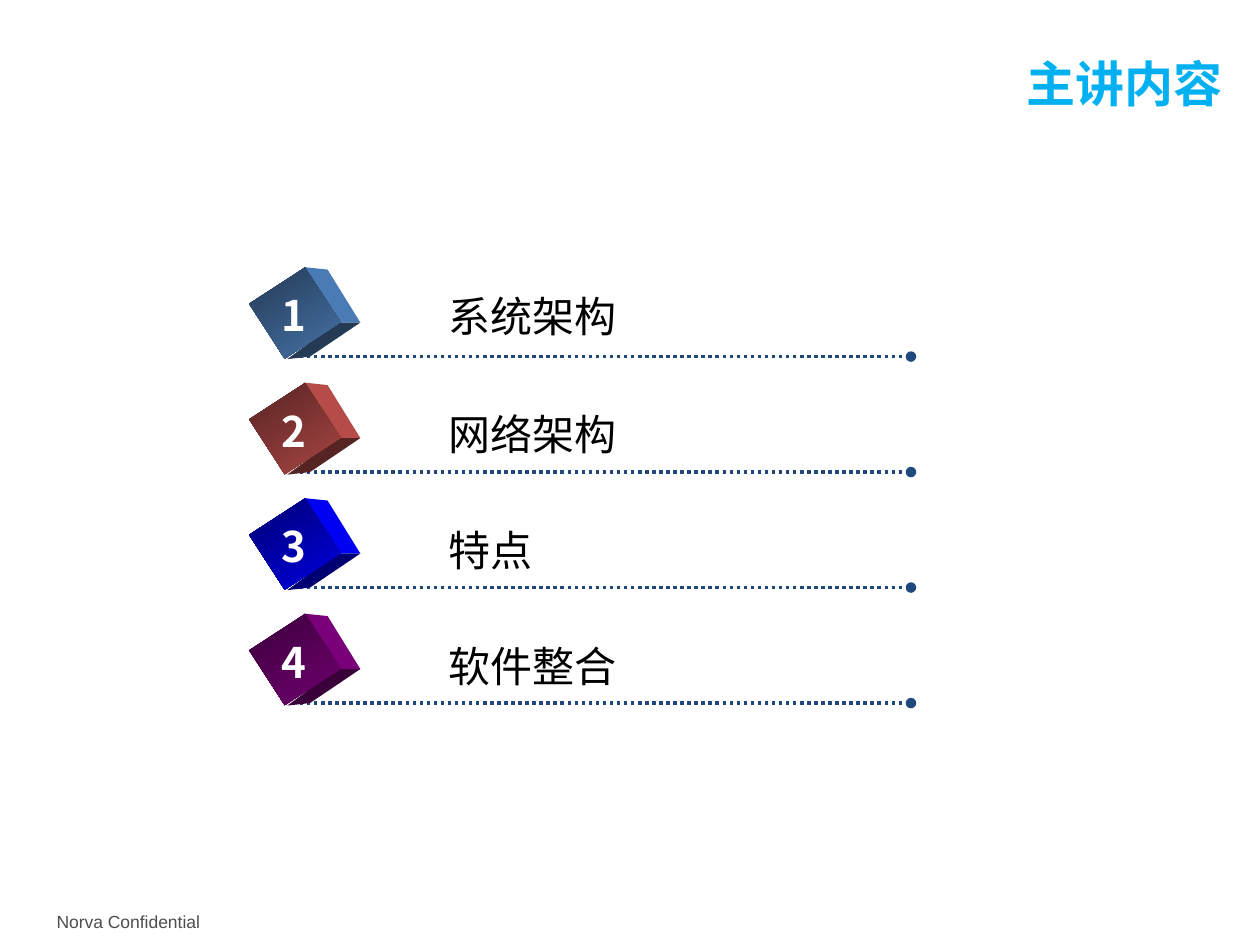
import lxml.etree
import pptx
import pptx.dml.color
import pptx.enum.dml
import pptx.enum.shapes
import pptx.enum.text
import pptx.oxml.ns
import pptx.util

Inches = pptx.util.Inches
Pt = pptx.util.Pt
RGBColor = pptx.dml.color.RGBColor
qn = pptx.oxml.ns.qn
PP_ALIGN = pptx.enum.text.PP_ALIGN
ANCHOR = pptx.enum.text.MSO_ANCHOR

CJK_FONT = "Noto Sans CJK SC"
TITLE_BLUE = RGBColor(0x00, 0xB0, 0xF0)
RULE_BLUE = RGBColor(0x1F, 0x49, 0x7D)
FOOTER_GRAY = RGBColor(0x4D, 0x4D, 0x4D)
WHITE = RGBColor(0xFF, 0xFF, 0xFF)
BLACK = RGBColor(0x00, 0x00, 0x00)
CUBE_BLUE = RGBColor(0x4F, 0x81, 0xBD)
CUBE_RED = RGBColor(0xC0, 0x50, 0x4D)
CUBE_PURE_BLUE = RGBColor(0x00, 0x00, 0xFF)
CUBE_PURPLE = RGBColor(0x80, 0x00, 0x80)

# Topic, cube colour, top of the topic text
AGENDA = [
    ("系统架构", CUBE_BLUE, 2.3),
    ("网络架构", CUBE_RED, 3.24),
    ("特点", CUBE_PURE_BLUE, 4.16),
    ("软件整合", CUBE_PURPLE, 5.08),
]
FIRST_ROW_TOP = 2.22
ROW_PITCH = 2.75 / 3

# Visible side faces of a cube, measured from the top of its row
RIGHT_FACE = [(2.41, -0.1), (2.6, -0.08), (2.86, 0.34), (2.68, 0.34)]
BOTTOM_FACE = [(2.68, 0.34), (2.86, 0.34), (2.46, 0.61), (2.28, 0.63)]


def shade(color, factor):
    return RGBColor(*(round(channel * factor) for channel in color))


def format_text(paragraph, size, color, bold=False, font_name=CJK_FONT):
    for run in paragraph.runs:
        run.font.name = font_name
        run.font.size = Pt(size)
        run.font.bold = bold
        run.font.color.rgb = color
        east_asian = lxml.etree.SubElement(run.font._element, qn("a:ea"))
        east_asian.set("typeface", font_name)


def add_label(slide, text, left, top, width, height, wrap=False):
    """Add a text box and return its paragraph."""
    label = slide.shapes.add_textbox(
        Inches(left), Inches(top), Inches(width), Inches(height))
    label.text_frame.word_wrap = wrap
    label.text_frame.text = text
    return label.text_frame.paragraphs[0]


def add_title(slide, text):
    title = slide.shapes.title
    title.left, title.top = Inches(4.32), Inches(0.47)
    title.width, title.height = Inches(5.38), Inches(0.42)
    frame = title.text_frame
    frame.margin_left = frame.margin_right = 0
    frame.margin_top = frame.margin_bottom = 0
    frame.vertical_anchor = ANCHOR.TOP
    frame.auto_size = pptx.enum.text.MSO_AUTO_SIZE.NONE
    frame.text = text
    paragraph = frame.paragraphs[0]
    paragraph.alignment = PP_ALIGN.RIGHT
    paragraph.line_spacing = Pt(30.1)
    format_text(paragraph, 28, TITLE_BLUE, bold=True)


def add_dotted_rule(slide, y):
    rule = slide.shapes.add_connector(
        pptx.enum.shapes.MSO_CONNECTOR.STRAIGHT,
        Inches(2.38), Inches(y), Inches(7.23), Inches(y))
    rule.line.color.rgb = RULE_BLUE
    rule.line.width = Pt(2)
    rule.line.dash_style = pptx.enum.dml.MSO_LINE.ROUND_DOT
    line_end = lxml.etree.SubElement(rule.line._ln, qn("a:tailEnd"))
    line_end.set("type", "oval")
    lxml.etree.SubElement(rule._element.spPr, qn("a:effectLst"))


def add_side_face(slide, corners, top, color):
    points = [(Inches(x), Inches(top + y)) for x, y in corners]
    builder = slide.shapes.build_freeform(*points[0])
    builder.add_line_segments(points[1:], close=True)
    face = builder.convert_to_shape()
    face.shadow.inherit = False
    face.fill.solid()
    face.fill.fore_color.rgb = color
    face.line.fill.background()


def add_cube(slide, top, color):
    add_side_face(slide, RIGHT_FACE, top, shade(color, 0.95))
    add_side_face(slide, BOTTOM_FACE, top, shade(color, 0.45))
    front = slide.shapes.add_shape(
        pptx.enum.shapes.MSO_SHAPE.RECTANGLE,
        Inches(2.08), Inches(top), Inches(0.52), Inches(0.53))
    front.rotation = 57
    front.shadow.inherit = False
    front.line.fill.background()
    front.fill.gradient()
    front.fill.gradient_angle = 0
    dark_stop, light_stop = front.fill.gradient_stops
    dark_stop.color.rgb = shade(color, 0.45)
    dark_stop.position = 0
    light_stop.color.rgb = shade(color, 0.88)
    light_stop.position = 1


def add_agenda_row(slide, index, topic, color, topic_top):
    top = FIRST_ROW_TOP + index * ROW_PITCH
    add_dotted_rule(slide, top + 0.61)
    add_cube(slide, top, color)

    number = add_label(slide, str(index + 1), 2.13, top + 0.03, 0.4, 0.5)
    number.alignment = PP_ALIGN.CENTER
    format_text(number, 24, WHITE, bold=True)

    topic_width = 0.2 + len(topic) / 3
    topic_line = add_label(slide, topic, 3.46, topic_top, topic_width, 0.46)
    topic_line.line_spacing = 0.9
    format_text(topic_line, 24, BLACK)


def main():
    deck = pptx.Presentation()
    deck.slide_width, deck.slide_height = Inches(10), Inches(7.5)
    slide = deck.slides.add_slide(deck.slide_layouts.get_by_name("Title Only"))

    add_title(slide, "主讲内容")
    for index, (topic, color, topic_top) in enumerate(AGENDA):
        add_agenda_row(slide, index, topic, color, topic_top)
    footer = add_label(
        slide, "Norva Confidential", 0.35, 7.18, 1.81, 0.27, wrap=True)
    format_text(footer, 10, FOOTER_GRAY, font_name="Arial")

    deck.save("out.pptx")


if __name__ == "__main__":
    main()
